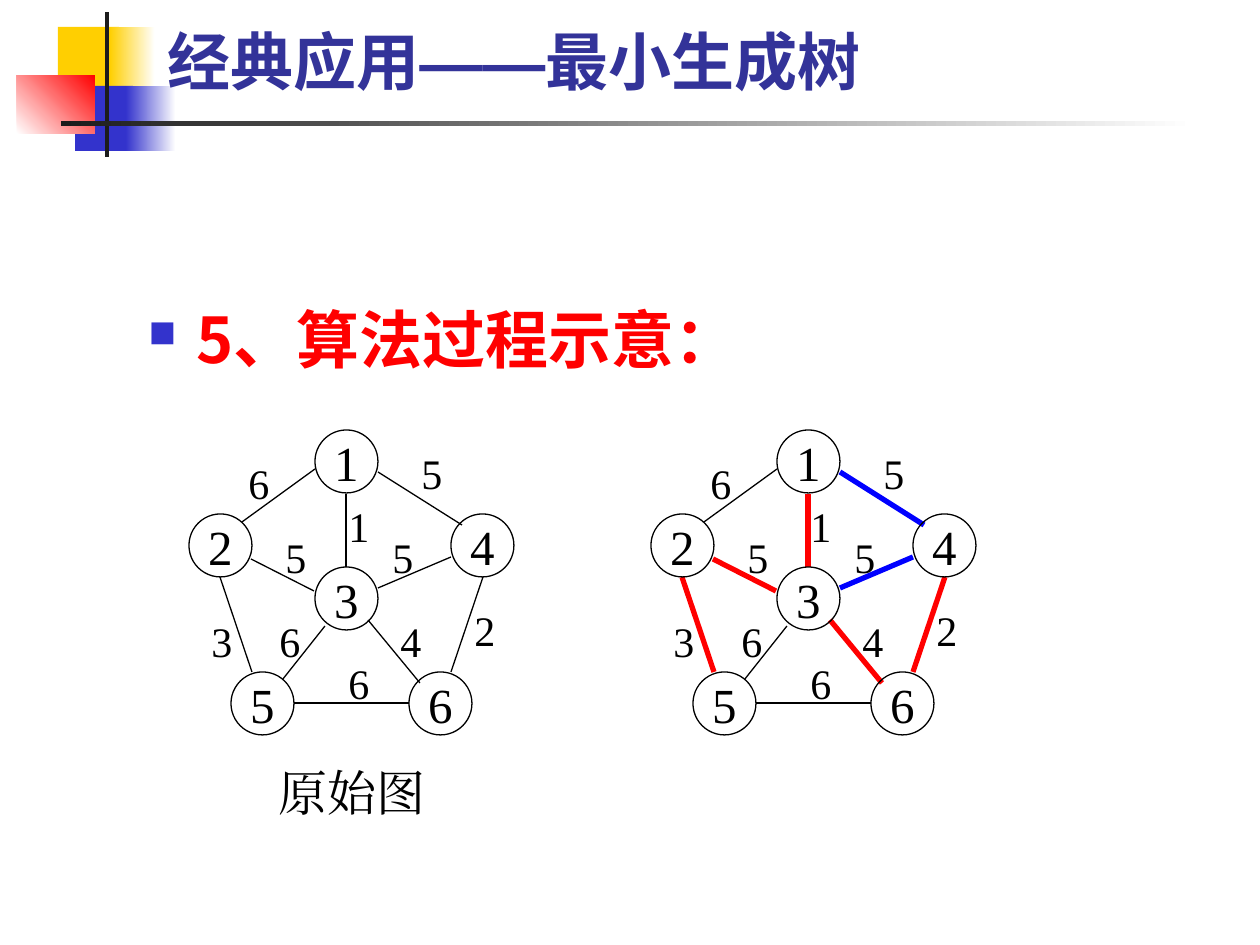
from dataclasses import dataclass

from lxml.etree import SubElement
from pptx import Presentation
from pptx.dml.color import RGBColor
from pptx.enum.shapes import MSO_CONNECTOR, MSO_SHAPE
from pptx.enum.text import MSO_ANCHOR as Anchor, PP_ALIGN as Align
from pptx.oxml.ns import qn
from pptx.util import Emu, Pt

PX = 914400 // 126
SERIF, SANS, HAN = "Times New Roman", "Roboto", "Noto Sans CJK SC"
BLACK, RED, BLUE, WHITE = "000000", "FF0000", "0000FF", "FFFFFF"
YELLOW, INDIGO, CHARCOAL = "FFCF01", "3333CC", "1C1C1C"
NODE_SIZE = 63
LABEL_SIZE = (42, 63)


@dataclass(frozen=True)
class Block:
    box: tuple[int, int, int, int]
    start: str
    end: str | None = None
    angle: int = 0


@dataclass(frozen=True)
class Node:
    name: str
    left: int
    top: int


@dataclass(frozen=True)
class Edge:
    """A weighted edge; result is its colour once the algorithm has run."""
    start: tuple[int, int]
    end: tuple[int, int]
    weight: str
    label: tuple[int, int]
    result: str = BLACK


BLOCKS = [
    Block((58, 27, 61, 66), YELLOW),
    Block((110, 27, 45, 66), YELLOW, WHITE),
    Block((75, 86, 58, 65), INDIGO),
    Block((126, 86, 50, 65), INDIGO, WHITE),
    Block((17, 75, 78, 59), WHITE, RED, 45),
    Block((105, 12, 4, 145), CHARCOAL),
    Block((61, 121, 1134, 5), CHARCOAL, WHITE),
]
NODES = [
    Node("5", 231, 672), Node("6", 409, 672), Node("4", 451, 514),
    Node("2", 189, 514), Node("3", 315, 567), Node("1", 315, 430),
]
EDGES = [
    Edge((242, 522), (315, 469), "6", (236, 451)),
    Edge((283, 679), (325, 626), "6", (267, 609)),
    Edge((378, 588), (451, 557), "5", (380, 525), BLUE),
    Edge((251, 559), (314, 591), "5", (273, 525), RED),
    Edge((378, 472), (462, 525), "5", (409, 441), BLUE),
    Edge((451, 672), (483, 577), "2", (462, 598), RED),
    Edge((252, 672), (220, 577), "3", (199, 609), RED),
    Edge((294, 703), (409, 703), "6", (336, 651)),
    Edge((346, 567), (346, 494), "1", (336, 494), RED),
    Edge((368, 620), (420, 683), "4", (388, 609), RED),
]


def px(*values: int) -> list[Emu]:
    return [Emu(value * PX) for value in values]


def rgb(value: str) -> RGBColor:
    return RGBColor.from_string(value)


def add_run(paragraph, text: str, color: str, **font_values) -> None:
    run = paragraph.add_run()
    run.text = text
    run.font.color.rgb = rgb(color)
    for name, value in font_values.items():
        setattr(run.font, name, value)
    properties = run._r.get_or_add_rPr()
    SubElement(properties, qn("a:ea")).set("typeface", font_values["name"])


def add_text_box(slide, box: tuple[int, int, int, int], align=Align.LEFT, anchor=Anchor.TOP):
    """Add an empty wrapping box and return its paragraph."""
    frame = slide.shapes.add_textbox(*px(*box)).text_frame
    frame.word_wrap = True
    frame.vertical_anchor = anchor
    paragraph = frame.paragraphs[0]
    paragraph.alignment = align
    return paragraph


def add_block(slide, block: Block) -> None:
    shape = slide.shapes.add_shape(MSO_SHAPE.RECTANGLE, *px(*block.box))
    shape.shadow.inherit = False
    shape.line.fill.background()
    if block.end is None:
        shape.fill.solid()
        shape.fill.fore_color.rgb = rgb(block.start)
        return
    shape.fill.gradient()
    shape.fill.gradient_angle = block.angle
    for stop, color in zip(shape.fill.gradient_stops, (block.start, block.end)):
        stop.color.rgb = rgb(color)


def add_node(slide, node: Node, shift: int) -> None:
    box = px(node.left + shift, node.top, NODE_SIZE, NODE_SIZE)
    shape = slide.shapes.add_shape(MSO_SHAPE.OVAL, *box)
    shape.shadow.inherit = False
    shape.fill.background()
    shape.line.color.rgb = rgb(BLACK)
    shape.line.width = Pt(0.75)
    frame = shape.text_frame
    frame.word_wrap = False
    frame.vertical_anchor = Anchor.MIDDLE
    paragraph = frame.paragraphs[0]
    paragraph.alignment = Align.CENTER
    add_run(paragraph, node.name, BLACK, name=SERIF, size=Pt(28))


def add_edge(slide, edge: Edge, shift: int, color: str) -> None:
    (x1, y1), (x2, y2) = edge.start, edge.end
    points = px(x1 + shift, y1, x2 + shift, y2)
    line = slide.shapes.add_connector(MSO_CONNECTOR.STRAIGHT, *points)
    line.line.color.rgb = rgb(color)
    line.line.width = Pt(0.75 if color == BLACK else 3)
    SubElement(line._element.spPr, qn("a:effectLst"))


def add_weight(slide, edge: Edge, shift: int) -> None:
    left, top = edge.label
    paragraph = add_text_box(slide, (left + shift, top, *LABEL_SIZE), Align.CENTER)
    add_run(paragraph, edge.weight, BLACK, name=SERIF, size=Pt(24))


def add_graph(slide, shift: int, solved: bool) -> None:
    for edge in EDGES:
        add_edge(slide, edge, shift, edge.result if solved else BLACK)
    for node in NODES:
        add_node(slide, node, shift)
    for edge in EDGES:
        add_weight(slide, edge, shift)


def add_bullet(paragraph, color: str, percent: int, character: str, indent: int) -> None:
    properties = paragraph._p.get_or_add_pPr()
    properties.set("marL", str(indent * PX))
    properties.set("indent", str(-indent * PX))
    bullet_color = SubElement(properties, qn("a:buClr"))
    SubElement(bullet_color, qn("a:srgbClr")).set("val", color)
    SubElement(properties, qn("a:buSzPct")).set("val", str(percent * 1000))
    SubElement(properties, qn("a:buChar")).set("char", character)


def main() -> None:
    presentation = Presentation()
    presentation.slide_width, presentation.slide_height = px(1260, 945)
    slide = presentation.slides.add_slide(presentation.slide_layouts[6])
    for block in BLOCKS:
        add_block(slide, block)

    title = add_text_box(slide, (155, 31, 1077, 73), anchor=Anchor.BOTTOM)
    for text, font_name in (("经典应用", SANS), ("——", "Arial"), ("最小生成树", SANS)):
        add_run(title, text, "333399", name=font_name, size=Pt(36), bold=True)

    heading = add_text_box(slide, (136, 294, 819, 105))
    add_bullet(heading, INDIGO, 60, "■", 48)
    add_run(heading, "5、算法过程示意：", RED, name=HAN, size=Pt(36), bold=True)

    add_graph(slide, 0, solved=False)
    add_graph(slide, 462, solved=True)
    caption = add_text_box(slide, (242, 756, 220, 72), Align.CENTER)
    add_run(caption, "原始图", BLACK, name=SERIF, size=Pt(28))
    presentation.save("out.pptx")


if __name__ == "__main__":
    main()
